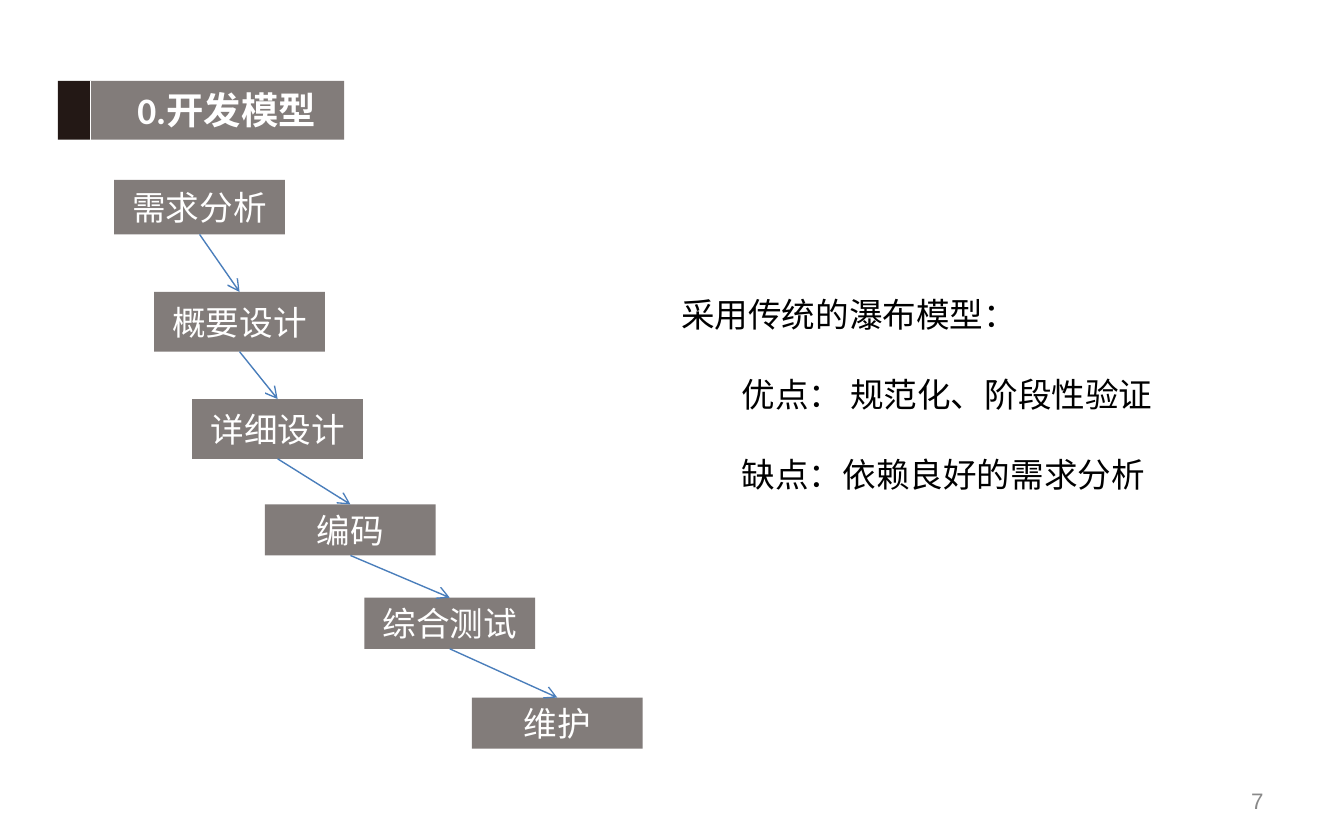
"""Build the slide on the waterfall development model."""
from dataclasses import dataclass
from itertools import pairwise

from lxml.etree import SubElement
from pptx import Presentation
from pptx.dml.color import RGBColor
from pptx.enum.shapes import MSO_CONNECTOR as Connector, MSO_SHAPE as Preset
from pptx.enum.text import MSO_ANCHOR as Anchor, PP_ALIGN as Align
from pptx.oxml.ns import qn
from pptx.shapes.autoshape import Shape
from pptx.shapes.connector import Connector as Line
from pptx.slide import Slide
from pptx.util import Pt

GRAY = RGBColor(0x82, 0x7C, 0x7A)
DARK = RGBColor(0x23, 0x18, 0x15)
BLUE = RGBColor(0x4A, 0x7E, 0xBB)
WHITE = RGBColor(0xFF, 0xFF, 0xFF)
BLACK = RGBColor(0x00, 0x00, 0x00)
PALE = RGBColor(0x89, 0x89, 0x89)

STAGE_WIDTH = 91.5
LINE_PITCH = 21.5
BOTTOM_SITE, TOP_SITE = 2, 0


@dataclass(frozen=True)
class Stage:
    name: str
    left: float
    top: float
    height: float


@dataclass(frozen=True)
class Remark:
    text: str
    indent: float
    space_before: float


@dataclass(frozen=True)
class Style:
    font: str
    size: float
    color: RGBColor
    bold: bool = False
    align: Align = Align.LEFT


STAGES = [
    Stage("需求分析", 61.2, 96.4, 29.2),
    Stage("概要设计", 82.6, 156.4, 32),
    Stage("详细设计", 103, 213.8, 32),
    Stage("编码", 142, 270.2, 27.4),
    Stage("综合测试", 195.2, 320.2, 27.4),
    Stage("维护", 252.8, 373.7, 27.4),
]
REMARKS = [
    Remark("采用传统的瀑布模型：", 0, 0),
    Remark("优点： 规范化、阶段性验证", 32.5, LINE_PITCH),
    Remark("缺点：依赖良好的需求分析", 32.5, LINE_PITCH),
]
TITLE_STYLE = Style("Calibri", 20, WHITE, bold=True)
STAGE_STYLE = Style("Calibri", 18, WHITE, align=Align.CENTER)
REMARK_STYLE = Style("Arial", 18, BLACK)
NUMBER_STYLE = Style("Arial", 12, PALE, align=Align.RIGHT)


def write(box: Shape, text: str, style: Style, anchor: Anchor) -> None:
    """Fill a box with text and format every run."""
    frame = box.text_frame
    frame.text = text
    frame.word_wrap = True
    frame.vertical_anchor = anchor
    for para in frame.paragraphs:
        para.alignment = style.align
        for span in para.runs:
            span.font.name = style.font
            span.font.size = Pt(style.size)
            span.font.bold = style.bold
            span.font.color.rgb = style.color


def add_block(page: Slide, left: float, top: float, width: float,
              height: float, color: RGBColor) -> Shape:
    """Add a plain filled rectangle."""
    block = page.shapes.add_shape(
        Preset.RECTANGLE, Pt(left), Pt(top), Pt(width), Pt(height))
    block.shadow.inherit = False
    block.fill.solid()
    block.fill.fore_color.rgb = color
    block.line.fill.background()
    return block


def add_line(page: Slide, start: tuple[float, float],
             end: tuple[float, float], color: RGBColor) -> Line:
    """Add a thin straight line without a shadow."""
    line = page.shapes.add_connector(
        Connector.STRAIGHT, *map(Pt, (*start, *end)))
    line.line.color.rgb = color
    line.line.width = Pt(0.75)
    SubElement(line._element.spPr, qn("a:effectLst"))
    return line


def add_arrow(page: Slide, source: Shape, target: Shape) -> None:
    """Link the bottom of one stage to the top of the next."""
    arrow = add_line(page, (0, 0), (0, 0), BLUE)
    arrow.begin_connect(source, BOTTOM_SITE)
    arrow.end_connect(target, TOP_SITE)
    SubElement(arrow.line._get_or_add_ln(), qn("a:tailEnd"), type="arrow")


def add_stage(page: Slide, stage: Stage) -> Shape:
    """Add one labelled stage of the model."""
    block = add_block(
        page, stage.left, stage.top, STAGE_WIDTH, stage.height, GRAY)
    write(block, stage.name, STAGE_STYLE, Anchor.MIDDLE)
    return block


def add_title(page: Slide) -> None:
    """Add the title bar with its dark marker and divider."""
    bar = add_block(page, 48.4, 43.4, 136, 31.4, GRAY)
    write(bar, "0.开发模型", TITLE_STYLE, Anchor.TOP)
    bar.text_frame.margin_left = Pt(25.2)
    add_block(page, 31, 43.4, 17.4, 31.4, DARK)
    add_line(page, (48.4, 43.4), (48.4, 74.8), WHITE)


def add_remarks(page: Slide) -> None:
    """Add the strengths and weaknesses of the model."""
    box = page.shapes.add_textbox(Pt(357.8), Pt(154), Pt(291), Pt(115))
    text = "\n".join(remark.text for remark in REMARKS)
    write(box, text, REMARK_STYLE, Anchor.TOP)
    for para, remark in zip(box.text_frame.paragraphs, REMARKS):
        para.line_spacing = Pt(LINE_PITCH)
        para.space_before = Pt(remark.space_before)
        properties = para._p.get_or_add_pPr()
        properties.set("marL", str(Pt(remark.indent)))
        properties.set("indent", "0")


def add_page_number(page: Slide) -> None:
    """Add the page number at the lower right."""
    box = page.shapes.add_textbox(Pt(516), Pt(417), Pt(168), Pt(24))
    write(box, "7", NUMBER_STYLE, Anchor.MIDDLE)


def main() -> None:
    """Build and save the deck."""
    deck = Presentation()
    deck.slide_width, deck.slide_height = Pt(720), Pt(450)
    page = deck.slides.add_slide(deck.slide_layouts[6])
    add_page_number(page)
    add_title(page)
    add_remarks(page)
    blocks = [add_stage(page, stage) for stage in STAGES]
    for source, target in pairwise(blocks):
        add_arrow(page, source, target)
    deck.save("out.pptx")


if __name__ == "__main__":
    main()
